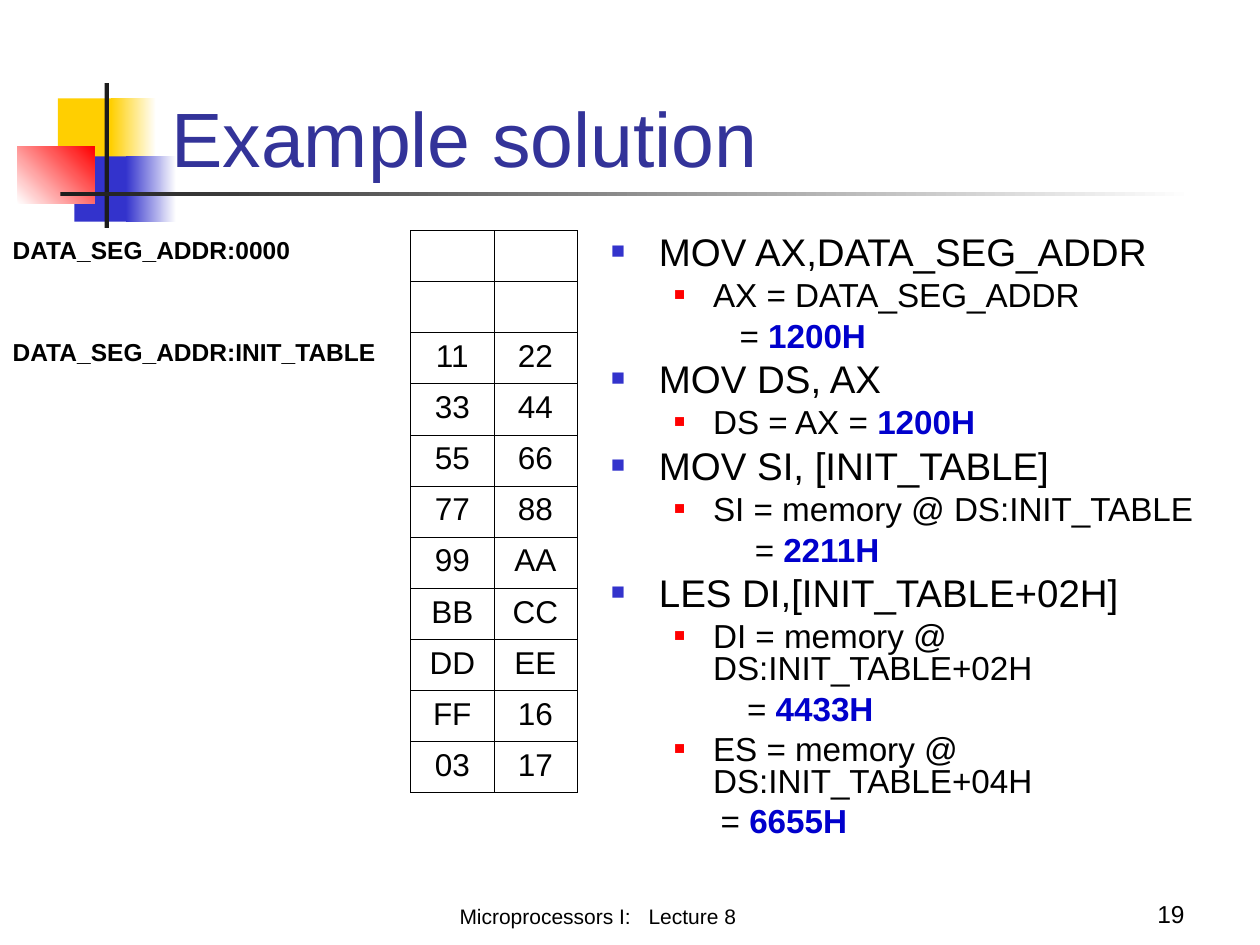
from lxml import etree
from pptx import Presentation
from pptx.dml.color import RGBColor
from pptx.enum.shapes import MSO_SHAPE
from pptx.enum.text import MSO_ANCHOR, MSO_AUTO_SIZE, PP_ALIGN
from pptx.oxml.ns import qn
from pptx.util import Inches, Pt

RECT = MSO_SHAPE.RECTANGLE
BOTTOM, TOP = MSO_ANCHOR.BOTTOM, MSO_ANCHOR.TOP
LEFT, CENTER, RIGHT = PP_ALIGN.LEFT, PP_ALIGN.CENTER, PP_ALIGN.RIGHT
NO_FIT = MSO_AUTO_SIZE.NONE

COLORS = {
    "white": "FFFFFF", "black": "000000", "ink": "1C1C1C", "yellow": "FFCF01",
    "blue": "3333CC", "red": "FF0000", "title": "333399", "answer": "0000CC",
}
ACCENTS = [
    (4.6, 7.8, 4.8, 5.2, "yellow", None, 0),
    (8.8, 7.8, 3.6, 5.2, "yellow", "white", 0),
    (5.9, 12.4, 4.6, 5.2, "blue", None, 0),
    (10, 12.4, 4, 5.2, "blue", "white", 0),
    (1.4, 11.6, 6.1, 4.6, "white", "red", 45),
    (8.3, 6.6, 0.35, 11.5, "ink", None, 0),
    (4.8, 15.2, 90, 0.35, "ink", "white", 0),
]
LABELS = {0: "DATA_SEG_ADDR:0000", 2: "DATA_SEG_ADDR:INIT_TABLE"}
MEMORY = ["", ""] + "11 22,33 44,55 66,77 88,99 AA,BB CC,DD EE,FF 16,03 17".split(",")
STEPS = [
    ("MOV AX,DATA_SEG_ADDR", [("AX = DATA_SEG_ADDR", "", 10.2, "1200H")]),
    ("MOV DS, AX", [("DS = AX = ", "1200H", 0, "")]),
    ("MOV SI, [INIT_TABLE]", [("SI = memory @ DS:INIT_TABLE", "", 11.4, "2211H")]),
    ("LES DI,[INIT_TABLE+02H]", [
        ("DI = memory @\nDS:INIT_TABLE+02H", "", 10.8, "4433H"),
        ("ES = memory @\nDS:INIT_TABLE+04H", "", 8.7, "6655H"),
    ]),
]


def add_text(p, text, size=18, color="black", bold=False, spacing=0):
    """Add formatted text to a paragraph, breaking lines at newlines."""
    for i, line in enumerate(text.split("\n")):
        if i:
            p.add_line_break()
        r = p.add_run()
        r.text = line
        r.font.name = "Arial"
        r.font.size = Pt(size)
        r.font.bold = bold
        r.font.color.rgb = RGBColor.from_string(COLORS[color])
        if spacing:
            r.font._element.set("spc", str(spacing))


class Deck:
    """Hold the style and the slide, measured on a grid of 100 columns by 75 rows."""

    def __init__(self):
        self.prs = Presentation()
        self.prs.slide_width, self.prs.slide_height = Inches(10), Inches(7.5)
        self.s = self.prs.slides.add_slide(self.prs.slide_layouts[1])

    def grid(self, *cells):
        return [int(self.prs.slide_width * c / 100) for c in cells]

    def accent(self, x, y, w, h, start, end, angle):
        sp = self.s.shapes.add_shape(RECT, *self.grid(x, y, w, h))
        sp.shadow.inherit = False
        sp.line.fill.background()
        if end is None:
            sp.fill.solid()
            sp.fill.fore_color.rgb = RGBColor.from_string(COLORS[start])
            return
        sp.fill.gradient()
        sp.fill.gradient_angle = angle
        for stop, name in zip(sp.fill.gradient_stops, (start, end)):
            stop.color.rgb = RGBColor.from_string(COLORS[name])

    def frame(self, sp, anchor):
        tf = sp.text_frame
        tf.word_wrap = True
        tf.auto_size = NO_FIT
        tf.vertical_anchor = anchor
        return tf

    def placeholder(self, index, box, anchor):
        sp = self.s.placeholders[index]
        sp.left, sp.top, sp.width, sp.height = self.grid(*box)
        self.s.shapes._spTree.append(sp._element)
        return self.frame(sp, anchor)

    def title(self, text, box):
        p = self.placeholder(0, box, BOTTOM).paragraphs[0]
        p.alignment = LEFT
        add_text(p, text, size=44, color="title")

    def label(self, box, align, size, *parts):
        p = self.frame(self.s.shapes.add_textbox(*self.grid(*box)), BOTTOM).paragraphs[0]
        p.alignment = align
        for text, spacing in parts:
            add_text(p, text, size=size, spacing=spacing)

    def border(self, cell, side, color, width=0.45):
        ln = etree.SubElement(cell._tc.get_or_add_tcPr(), qn(f"a:ln{side}"), w=str(Pt(width)))
        fill = etree.SubElement(ln, qn("a:solidFill"))
        etree.SubElement(fill, qn("a:srgbClr"), val=COLORS[color])

    def table(self, box, widths, labels, rows):
        table = self.s.shapes.add_table(len(rows), len(widths), *self.grid(*box)).table
        table.first_row = table.horz_banding = False
        for column, width in zip(table.columns, self.grid(*widths)):
            column.width = width
        for i, row in enumerate(rows):
            values = [labels.get(i, "")] + (row.split() or ["", ""])
            for j, value in enumerate(values):
                cell = table.cell(i, j)
                for side in "LRTB":
                    outside = j == 0 and side != "R"
                    self.border(cell, side, "white" if outside else "black")
                cell.fill.solid()
                cell.fill.fore_color.rgb = RGBColor.from_string(COLORS["white"])
                p = cell.text_frame.paragraphs[0]
                p.alignment = CENTER if j else LEFT
                if value:
                    add_text(p, value, size=18 if j else 14, bold=j == 0)

    def item(self, tf, level, margin, hanging, before, bullet=None, percent=60):
        first = not tf.paragraphs[0].runs
        p = tf.paragraphs[0] if first else tf.add_paragraph()
        p.level = level
        p.alignment = LEFT
        p.line_spacing = 0.8
        p.space_before = Pt(0 if first else before)
        pPr = p._p.get_or_add_pPr()
        left, indent = self.grid(margin, -hanging)
        pPr.set("marL", str(left))
        pPr.set("indent", str(indent))
        if bullet:
            color = etree.SubElement(pPr, qn("a:buClr"))
            etree.SubElement(color, qn("a:srgbClr"), val=COLORS[bullet])
            etree.SubElement(pPr, qn("a:buSzPct"), val=str(percent * 1000))
            etree.SubElement(pPr, qn("a:buFont"), typeface="Arial")
            etree.SubElement(pPr, qn("a:buChar"), char="■")
        else:
            etree.SubElement(pPr, qn("a:buNone"))
        return p

    def steps(self, box, steps):
        tf = self.placeholder(1, box, TOP)
        for instruction, effects in steps:
            add_text(self.item(tf, 0, 3.8, 3.8, 5.5, "blue"), instruction, size=22)
            for effect, answer, margin, result in effects:
                p = self.item(tf, 1, 8.1, 3.1, 4.8, "red", 55)
                add_text(p, effect, size=19)
                if answer:
                    add_text(p, answer, size=19, color="answer", bold=True)
                if result:
                    p = self.item(tf, 1, margin, 0, 4.8)
                    add_text(p, "= ", size=19)
                    add_text(p, result, size=19, color="answer", bold=True)


def main():
    deck = Deck()
    for accent in ACCENTS:
        deck.accent(*accent)
    deck.title("Example solution", (12.6, 2.5, 85.2, 12.5))
    deck.table((0, 18.3, 45.8, 44.6), (32.6, 6.6, 6.6), LABELS, MEMORY)
    deck.steps((47.5, 18.3, 52.5, 49.2), STEPS)
    deck.label((20.8, 69.2, 53.3, 5), CENTER, 12,
               ("Microprocessors I:", 0), (" ", 670), ("Lecture 8", 0))
    deck.label((74.2, 69.2, 20.8, 5), RIGHT, 14, ("19", 0))
    deck.prs.save("out.pptx")


if __name__ == "__main__":
    main()
